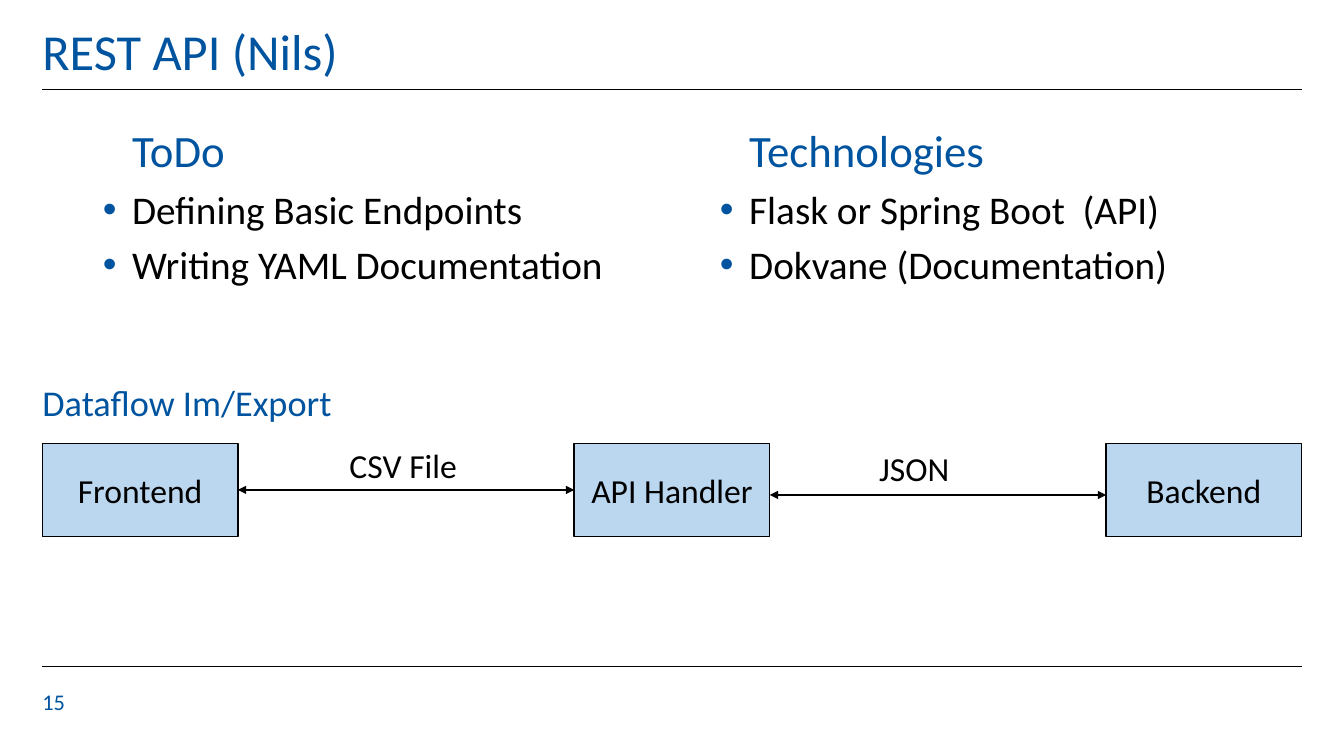
from dataclasses import dataclass

from lxml.etree import SubElement
from pptx import Presentation
from pptx.dml.color import RGBColor
from pptx.enum.shapes import MSO_CONNECTOR as Connector, MSO_SHAPE as Preset
from pptx.enum.text import MSO_ANCHOR as Anchor, MSO_AUTO_SIZE as AutoSize, PP_ALIGN as Align
from pptx.oxml.ns import qn
from pptx.shapes.autoshape import Shape
from pptx.shapes.connector import Connector as Line
from pptx.slide import Slide
from pptx.util import Inches, Length, Pt

SLIDE_WIDTH, SLIDE_HEIGHT = 13.33, 7.5


@dataclass(frozen=True)
class Theme:
    font: str = "Calibri"
    blue: str = "00549F"
    black: str = "000000"
    box_fill: str = "BBD6EF"
    title_size: float = 36
    heading_size: float = 32
    bullet_size: float = 28
    flow_heading_size: float = 25.9
    flow_size: float = 24
    number_size: float = 16


@dataclass(frozen=True)
class Area:
    """A rectangle in hundredths of the slide's width and height."""
    left: float
    top: float
    width: float
    height: float


@dataclass(frozen=True)
class Topic:
    left: float
    heading: str
    items: tuple[str, ...]


@dataclass(frozen=True)
class Link:
    label: str
    label_left: float
    label_top: float
    level: float
    joined: bool


THEME = Theme()
MARGIN = 3.15
CONTENT = 100 - 2 * MARGIN
TOPIC_WIDTH = 43.28
BOX_TOP, BOX_WIDTH, BOX_HEIGHT = 58.67, 14.55, 12.27
NODES = ("Frontend", "API Handler", "Backend")
BOX_STEP = (CONTENT - BOX_WIDTH) / (len(NODES) - 1)
TOPICS = (
    Topic(7.65, "ToDo", ("Defining Basic Endpoints", "Writing YAML Documentation")),
    Topic(100 - MARGIN - TOPIC_WIDTH, "Technologies",
          ("Flask or Spring Boot  (API)", "Dokvane (Documentation)")),
)
LINKS = (
    Link("CSV File", 20.85, 58.13, BOX_TOP + BOX_HEIGHT / 2, True),
    Link("JSON", 58.88, 58.53, 65.47, False),
)


def across(share: float) -> Length:
    return Inches(SLIDE_WIDTH * share / 100)


def down(share: float) -> Length:
    return Inches(SLIDE_HEIGHT * share / 100)


def bounds(area: Area) -> tuple[Length, Length, Length, Length]:
    return across(area.left), down(area.top), across(area.width), down(area.height)


def place(shape: Shape, area: Area) -> None:
    shape.left, shape.top, shape.width, shape.height = bounds(area)


def set_frame(shape: Shape, anchor: Anchor = Anchor.TOP, side: float = 0, ends: float = 0) -> None:
    """Wrap the text and set its anchor and insets in inches."""
    frame = shape.text_frame
    frame.word_wrap = True
    frame.auto_size = AutoSize.NONE
    frame.vertical_anchor = anchor
    frame.margin_left = frame.margin_right = Inches(side)
    frame.margin_top = frame.margin_bottom = Inches(ends)


def write(shape: Shape, text: str, *, size: float, color: str = THEME.black,
          align: Align = Align.LEFT, spacing: float = 1, after: float = 0,
          indent: float | None = None, bullet: bool = False, added: bool = False) -> None:
    """Write one paragraph, the first one unless it is added."""
    frame = shape.text_frame
    para = frame.add_paragraph() if added else frame.paragraphs[0]
    para.alignment = align
    para.line_spacing = spacing
    para.space_before, para.space_after = Pt(0), Pt(after)
    span = para.add_run()
    span.text = text
    span.font.name = THEME.font
    span.font.size = Pt(size)
    span.font.color.rgb = RGBColor.from_string(color)
    if indent is not None:
        props = para._p.get_or_add_pPr()
        props.set("marL", str(Inches(indent)))
        props.set("indent", str(Inches(-indent if bullet else 0)))
        if bullet:
            tint = SubElement(props, qn("a:buClr"))
            SubElement(tint, qn("a:srgbClr"), val=THEME.blue)
            SubElement(props, qn("a:buFont"), typeface="Arial")
            SubElement(props, qn("a:buChar"), char="•")
        else:
            SubElement(props, qn("a:buNone"))


def add_text(page: Slide, area: Area, text: str, *, size: float, color: str = THEME.black,
             align: Align = Align.LEFT, anchor: Anchor = Anchor.TOP, spacing: float = 1,
             ends: float = 0) -> None:
    box = page.shapes.add_textbox(*bounds(area))
    set_frame(box, anchor, ends=ends)
    write(box, text, size=size, color=color, align=align, spacing=spacing)


def add_line(page: Slide, left: float, right: float, level: float, weight: float,
             arrows: bool = False) -> Line:
    line = page.shapes.add_connector(
        Connector.STRAIGHT, across(left), down(level), across(right), down(level))
    line.line.color.rgb = RGBColor.from_string(THEME.black)
    line.line.width = Pt(weight)
    if arrows:
        for end in ("a:headEnd", "a:tailEnd"):
            SubElement(line.line._get_or_add_ln(), qn(end), type="triangle")
    SubElement(line._element.spPr, qn("a:effectLst"))
    return line


def add_topic(holder: Shape, topic: Topic) -> None:
    place(holder, Area(topic.left, 15.2, TOPIC_WIDTH, 28.4))
    set_frame(holder, ends=0.08)
    write(holder, topic.heading, size=THEME.heading_size, color=THEME.blue, after=6, indent=0.29)
    for item in topic.items:
        write(holder, item, size=THEME.bullet_size, after=6, indent=0.29, bullet=True, added=True)


def add_node(page: Slide, index: int, name: str) -> Shape:
    area = Area(MARGIN + index * BOX_STEP, BOX_TOP, BOX_WIDTH, BOX_HEIGHT)
    box = page.shapes.add_shape(Preset.RECTANGLE, *bounds(area))
    box.shadow.inherit = False
    box.fill.solid()
    box.fill.fore_color.rgb = RGBColor.from_string(THEME.box_fill)
    box.line.color.rgb = RGBColor.from_string(THEME.black)
    box.line.width = Pt(1)
    set_frame(box, Anchor.MIDDLE, side=0.1, ends=0.05)
    write(box, name, size=THEME.flow_size, align=Align.CENTER)
    return box


def add_flow(page: Slide) -> None:
    add_text(page, Area(MARGIN, 50.4, CONTENT, 8.27), "Dataflow Im/Export",
             size=THEME.flow_heading_size, color=THEME.blue, spacing=0.8, ends=0.08)
    boxes = [add_node(page, index, name) for index, name in enumerate(NODES)]
    for index, link in enumerate(LINKS):
        start = MARGIN + index * BOX_STEP + BOX_WIDTH
        line = add_line(page, start, start + BOX_STEP - BOX_WIDTH, link.level, 1.5, arrows=True)
        if link.joined:
            line.begin_connect(boxes[index], 3)
            line.end_connect(boxes[index + 1], 1)
        add_text(page, Area(link.label_left, link.label_top, 18.3, 6.67), link.label,
                 size=THEME.flow_size, align=Align.CENTER, anchor=Anchor.MIDDLE)


def main() -> None:
    deck = Presentation()
    deck.slide_width, deck.slide_height = Inches(SLIDE_WIDTH), Inches(SLIDE_HEIGHT)
    page = deck.slides.add_slide(deck.slide_layouts.get_by_name("Two Content"))
    for level in (11.87, 88.13):
        add_line(page, MARGIN, 100 - MARGIN, level, 0.5)
    title, *holders = page.placeholders
    place(title, Area(MARGIN, 2.93, CONTENT, 7.87))
    set_frame(title, Anchor.BOTTOM)
    write(title, "REST API (Nils)", size=THEME.title_size, color=THEME.blue, spacing=0.9)
    for holder, topic in zip(holders, TOPICS):
        add_topic(holder, topic)
    add_flow(page)
    add_text(page, Area(MARGIN, 91.07, 4.5, 6), "15", size=THEME.number_size, color=THEME.blue)
    deck.save("out.pptx")


if __name__ == "__main__":
    main()
